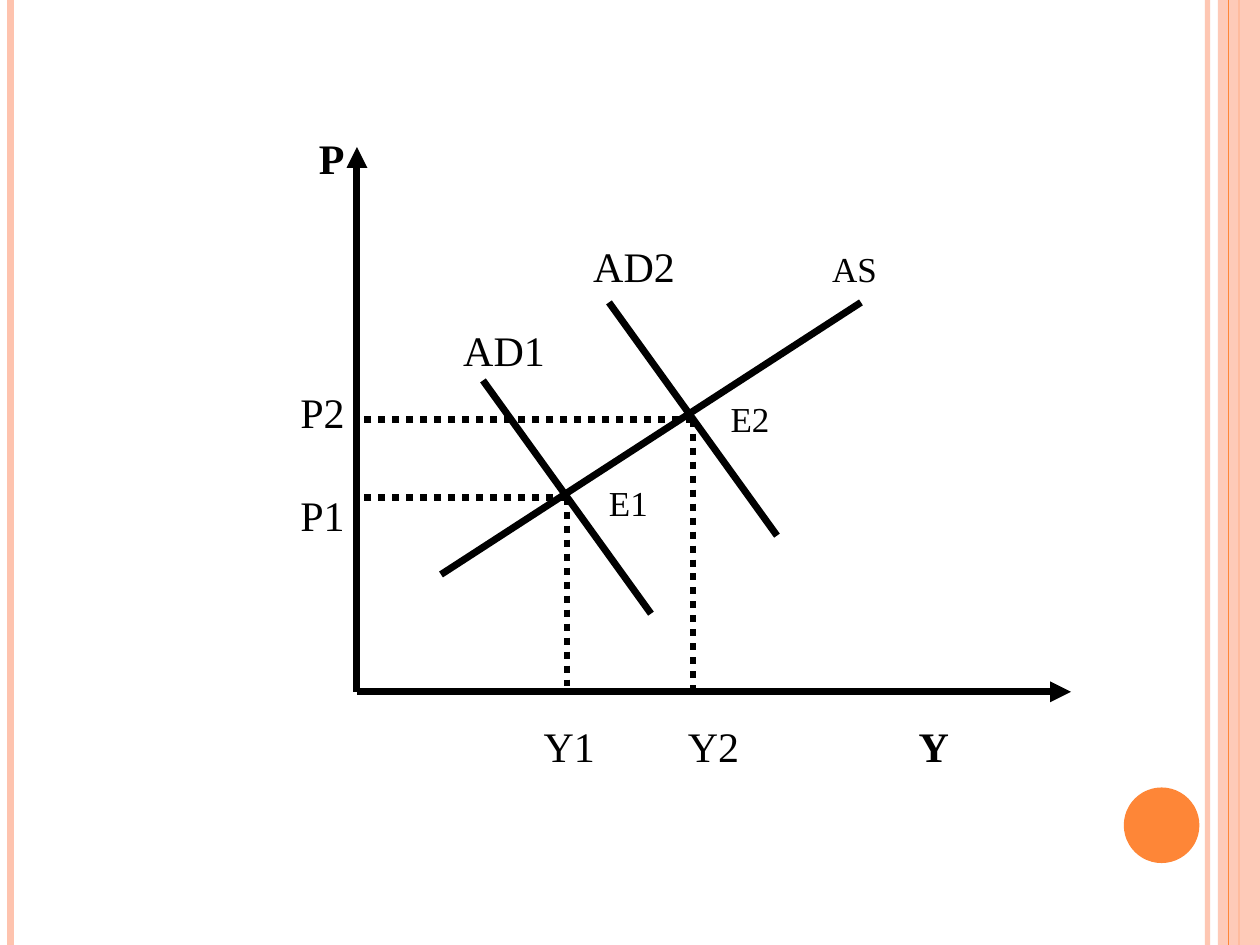
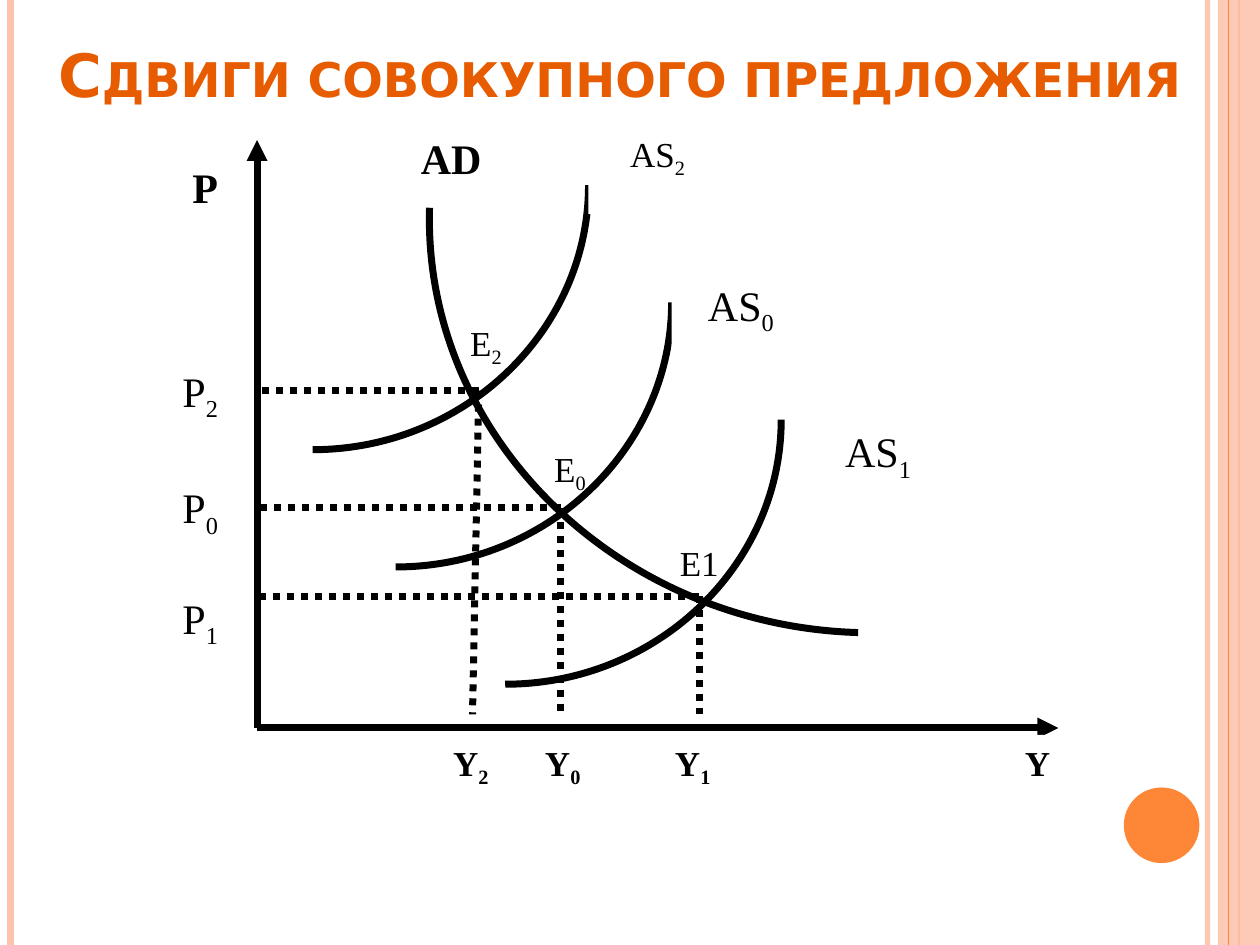
"""Build two slides of aggregate demand and supply diagrams."""
from typing import NamedTuple

from pptx import Presentation
from pptx import presentation as deck
from pptx import slide as sl
from pptx import util as u
from pptx.dml import color
from pptx.enum import dml as styles, shapes, text
from pptx.oxml import ns, xmlchemy
from pptx.shapes import autoshape

COLORS = {"ink": "000000", "paper": "FFFFFF", "title": "E75C01",
          "accent": "FE8637", "pale": "FEC3AE"}
FONTS = {"title": "DejaVu Sans", "label": "Times New Roman"}
WIDTH, HEIGHT = 720, 540
ARC_PULL = 0.55
LOWERED = 17.4


class Point(NamedTuple):
    x: float
    y: float


class Area(NamedTuple):
    left: float
    top: float
    width: float
    height: float


class Stroke(NamedTuple):
    start: Point
    end: Point
    color: str = "ink"
    weight: float = 4
    dotted: bool = False
    arrow: bool = False
    alpha: int = 100


class Mark(NamedTuple):
    name: str
    index: str = ""
    size: int = 24
    bold: bool = False


class Line(NamedTuple):
    marks: list[Mark]
    gap: float = 0


class Label(NamedTuple):
    area: Area
    lines: list[Line]
    align: text.PP_ALIGN = text.PP_ALIGN.CENTER
    margin_left: float = 7.2
    margin_top: float = 3.6
    tabs: tuple[float, ...] = ()


class Equilibrium(NamedTuple):
    point: Point
    foot: Point


def rgb(name: str) -> color.RGBColor:
    return color.RGBColor.from_string(COLORS[name])


def set_alpha(element: xmlchemy.BaseOxmlElement, percent: int) -> None:
    alpha = xmlchemy.OxmlElement("a:alpha")
    alpha.set("val", str(percent * 1000))
    element.find(".//" + ns.qn("a:srgbClr")).append(alpha)


def draw_stroke(slide: sl.Slide, stroke: Stroke) -> xmlchemy.BaseOxmlElement:
    ends = [u.Pt(length) for length in (*stroke.start, *stroke.end)]
    connector = slide.shapes.add_connector(shapes.MSO_CONNECTOR.STRAIGHT, *ends)
    connector.line.width = u.Pt(stroke.weight)
    connector.line.color.rgb = rgb(stroke.color)
    if stroke.dotted:
        connector.line.dash_style = styles.MSO_LINE.ROUND_DOT
    properties = connector._element.spPr
    if stroke.alpha < 100:
        set_alpha(properties, stroke.alpha)
    if stroke.arrow:
        head = xmlchemy.OxmlElement("a:tailEnd")
        head.set("type", "triangle")
        properties.find(ns.qn("a:ln")).append(head)
    properties.append(xmlchemy.OxmlElement("a:effectLst"))
    return connector._element


def draw_solid(slide: sl.Slide, kind: shapes.MSO_SHAPE, area: Area,
               fill: str, alpha: int = 100) -> autoshape.Shape:
    solid = slide.shapes.add_shape(kind, *map(u.Pt, area))
    solid.shadow.inherit = False
    solid.fill.solid()
    solid.fill.fore_color.rgb = rgb(fill)
    solid.line.fill.background()
    if alpha < 100:
        set_alpha(solid._element.spPr, alpha)
    return solid


def write_line(paragraph: text, line: Line, label: Label) -> None:
    paragraph.alignment = label.align
    if line.gap:
        paragraph.space_before = u.Pt(line.gap)
    if label.tabs:
        stops = xmlchemy.OxmlElement("a:tabLst")
        for position in label.tabs:
            stop = xmlchemy.OxmlElement("a:tab")
            stop.set("pos", str(u.Pt(position)))
            stop.set("algn", "l")
            stops.append(stop)
        paragraph._p.get_or_add_pPr().append(stops)
    for mark in line.marks:
        for words in filter(None, (mark.name, mark.index)):
            run = paragraph.add_run()
            run.text = words
            run.font.name, run.font.size = FONTS["label"], u.Pt(mark.size)
            run.font.bold = mark.bold
            run.font.color.rgb = rgb("ink")
            if words == mark.index:
                run.font._element.set("baseline", "-25000")


def draw_label(slide: sl.Slide, label: Label) -> None:
    frame = draw_solid(slide, shapes.MSO_SHAPE.RECTANGLE, label.area, "paper").text_frame
    frame.word_wrap = True
    frame.vertical_anchor = text.MSO_ANCHOR.TOP
    frame.margin_left, frame.margin_top = u.Pt(label.margin_left), u.Pt(label.margin_top)
    for number, line in enumerate(label.lines):
        paragraph = frame.add_paragraph() if number else frame.paragraphs[0]
        write_line(paragraph, line, label)


def draw_labels(slide: sl.Slide, labels: list[Label]) -> None:
    for label in labels:
        draw_label(slide, label)


def draw_arc(slide: sl.Slide, area: Area, rising: bool = True, rotation: float = 0) -> None:
    left, top, width, height = area
    right, bottom = left + width, top + height
    start_y, end_y = (bottom, top) if rising else (top, bottom)
    start, *others = [
        (u.Pt(x), u.Pt(y)) for x, y in (
            (left, start_y),
            (left + width * ARC_PULL, start_y),
            (right, end_y + (start_y - end_y) * ARC_PULL),
            (right, end_y))]
    builder = slide.shapes.build_freeform(*start)
    builder.add_line_segments(others, close=False)
    arc = builder.convert_to_shape()
    segments = list(arc._element.iter(ns.qn("a:lnTo")))
    bend = xmlchemy.OxmlElement("a:cubicBezTo")
    segments[0].addprevious(bend)
    for segment in segments:
        bend.append(segment[0])
        segment.getparent().remove(segment)
    arc.rotation = rotation
    arc.shadow.inherit = False
    arc.fill.background()
    arc.line.color.rgb = rgb("ink")
    arc.line.width = u.Pt(4)


def draw_axes(slide: sl.Slide, origin: Point, right: float, top: float) -> None:
    for tip in (Point(right, origin.y), Point(origin.x, top)):
        draw_stroke(slide, Stroke(origin, tip, arrow=True))


def draw_guides(slide: sl.Slide, axis_x: float, equilibria: list[Equilibrium]) -> None:
    for point, foot in equilibria:
        for end in (Point(axis_x, point.y), foot):
            draw_stroke(slide, Stroke(point, end, dotted=True))


def draw_frame(prs: deck.Presentation, slide: sl.Slide) -> None:
    def band(x: float, tint: str, weight: float, alpha: int = 100) -> xmlchemy.BaseOxmlElement:
        return draw_stroke(slide, Stroke(Point(x, 0), Point(x, HEIGHT), tint, weight, alpha=alpha))

    side, disc = Area(696, 0, 24, HEIGHT), Area(642.2, 450, 43.2, 43.2)
    parts = [
        band(690, "pale", 3, 93),
        band(6, "pale", 4.5),
        band(708, "accent", 1.5),
        draw_solid(slide, shapes.MSO_SHAPE.RECTANGLE, side, "pale", 87)._element,
        band(702, "accent", 0.75),
        draw_solid(slide, shapes.MSO_SHAPE.OVAL, disc, "accent")._element,
    ]
    for number, part in enumerate(parts, start=100):
        part.find(".//" + ns.qn("p:cNvPr")).set("id", str(number))
        prs.slide_master.shapes._spTree.append(part)


def set_title(slide: sl.Slide, wording: str) -> None:
    title = slide.shapes.title
    title.left, title.top, title.width, title.height = map(u.Pt, (18, 18, 672, 102))
    frame = title.text_frame
    frame.text = wording
    frame.word_wrap = True
    frame.auto_size = text.MSO_AUTO_SIZE.NONE
    frame.vertical_anchor = text.MSO_ANCHOR.TOP
    frame.paragraphs[0].alignment = text.PP_ALIGN.CENTER
    font = frame.paragraphs[0].runs[0].font
    font.name, font.size, font.bold = FONTS["title"], u.Pt(34.1), True
    font.color.rgb = rgb("title")
    font._element.set("cap", "small")


def build_demand_shift(slide: sl.Slide) -> None:
    draw_labels(slide, [
        Label(Area(312, 120, 216, 44.5), [Line([Mark("AD2\t"), Mark("AS", size=20)])],
              text.PP_ALIGN.LEFT, 27, LOWERED, (136.5,)),
        Label(Area(228, 168, 120, 67), [Line([Mark("AD1")])], margin_top=LOWERED),
        Label(Area(378, 210, 96, 67), [Line([Mark("E2", size=20)])],
              margin_left=12.2, margin_top=LOWERED),
        Label(Area(306, 258, 96, 67), [Line([Mark("E1", size=20)])],
              margin_left=17.2, margin_top=LOWERED),
        Label(Area(108, 72, 96, 311),
              [Line([Mark("P", bold=True)]), Line([Mark("P2")], 116.4), Line([Mark("P1")], 30.1)],
              text.PP_ALIGN.RIGHT),
    ])
    origin = Point(204, 395.3)
    draw_axes(slide, origin, right=612, top=84)
    for demand_top in (Point(348, 172.8), Point(276, 217.4)):
        draw_stroke(slide, Stroke(demand_top, Point(demand_top.x + 96, demand_top.y + 133.3)))
    draw_stroke(slide, Stroke(Point(252, 328.3), Point(492, 172.8)))
    draw_guides(slide, origin.x, [
        Equilibrium(Point(x, y), Point(x, origin.y)) for x, y in ((324, 284.4), (396, 239.8))])
    draw_label(slide, Label(
        Area(270, 408.2, 312, 44.5), [Line([Mark("Y1\tY2\t"), Mark("Y", bold=True)])],
        text.PP_ALIGN.LEFT, 40.6, tabs=(82.5, 214.3)))


def build_supply_shift(slide: sl.Slide) -> None:
    set_title(slide, "Сдвиги совокупного предложения")
    draw_labels(slide, [
        Label(Area(246, 180, 63.4, 50.4), [Line([Mark("E", "2", 20)])]),
        Label(Area(294, 252, 63.4, 50.4), [Line([Mark("E", "0", 20)])]),
        Label(Area(360, 306, 79.2, 50.4), [Line([Mark("E1", size=20)])]),
    ])
    origin = Point(146.9, 416)
    draw_axes(slide, origin, right=604.8, top=80)
    draw_arc(slide, Area(241.9, 122.4, 252, 235.4), rising=False, rotation=181.7)
    for left, top in ((178.6, 105.8), (226.1, 172.8), (288.7, 239.8)):
        draw_arc(slide, Area(left, top, 157.7, 151.2))
    foot_y = 408.2
    draw_guides(slide, origin.x, [
        Equilibrium(Point(273.6, 223.2), Point(270, foot_y)),
        Equilibrium(Point(320.4, 290.2), Point(320.4, foot_y)),
        Equilibrium(Point(399.6, 340.6), Point(399.6, foot_y)),
    ])
    draw_labels(slide, [
        Label(Area(226.1, 72, 63.4, 33.8), [Line([Mark("AD", bold=True)])]),
        Label(Area(336.2, 72, 79.2, 50.4), [Line([Mark("AS", "2", 20)])]),
        Label(Area(383.8, 156, 79.2, 50.4), [Line([Mark("AS", "0")])]),
        Label(Area(462.2, 239.8, 79.2, 50.4), [Line([Mark("AS", "1")])]),
        Label(Area(84.2, 88.6, 47.5, 336.2),
              [Line([Mark("P", bold=True)]), Line([Mark("P", "2")], 87.8),
               Line([Mark("P", "0")], 33.8), Line([Mark("P", "1")], 30.3)],
              text.PP_ALIGN.RIGHT),
        Label(Area(239.8, 420, 378.7, 50.4),
              [Line([Mark("Y", "2", 20, True), Mark("\tY", "0", 20, True),
                     Mark("\tY", "1", 20, True), Mark("\tY", "", 20, True)])],
              text.PP_ALIGN.LEFT, 19.1, tabs=(52.5, 126.8, 326.8)),
    ])


def main() -> None:
    prs = Presentation()
    prs.slide_width, prs.slide_height = u.Pt(WIDTH), u.Pt(HEIGHT)
    title_only, blank = prs.slide_layouts[5], prs.slide_layouts[6]
    demand_slide = prs.slides.add_slide(blank)
    draw_frame(prs, demand_slide)
    build_demand_shift(demand_slide)
    build_supply_shift(prs.slides.add_slide(title_only))
    prs.save("out.pptx")


if __name__ == "__main__":
    main()
